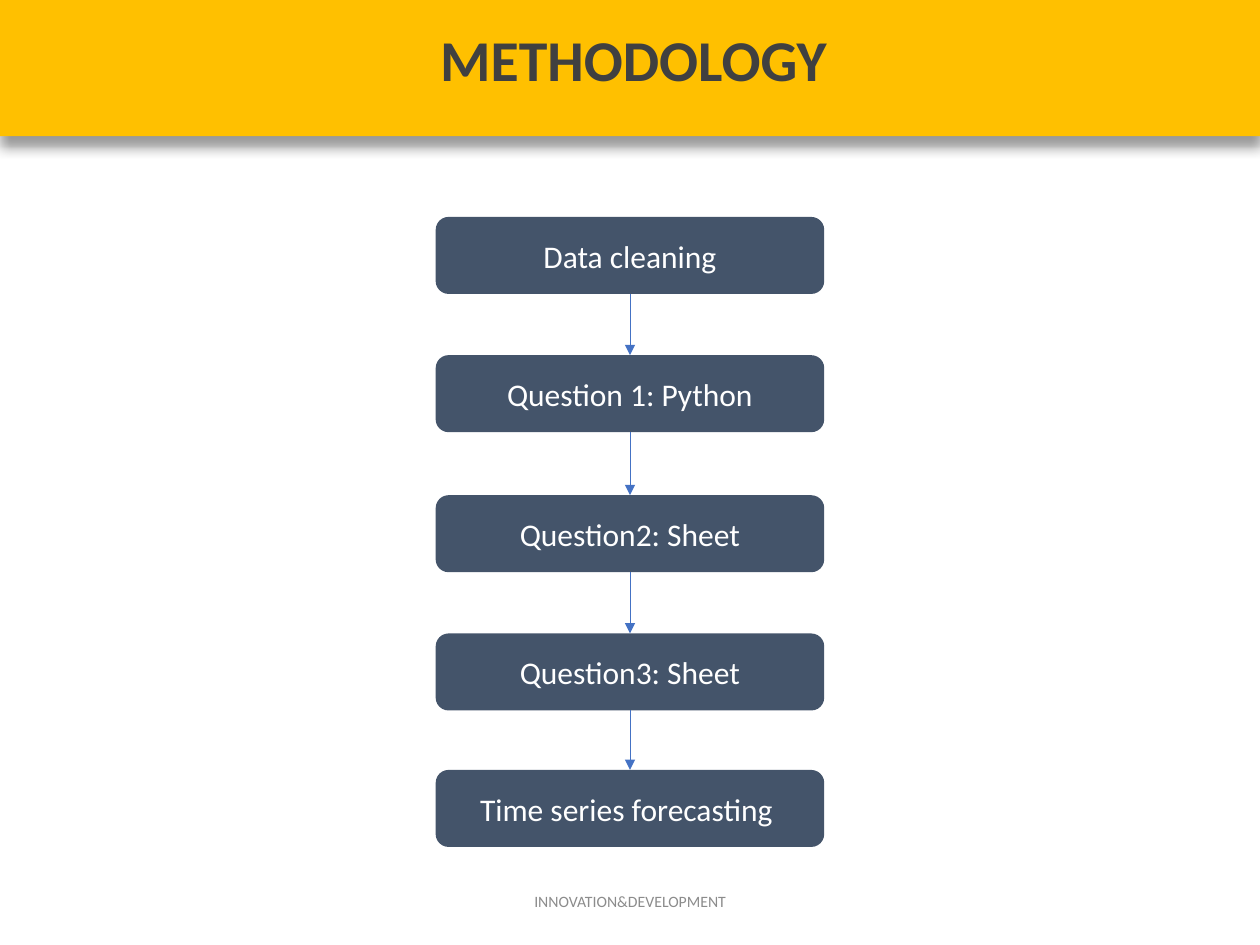
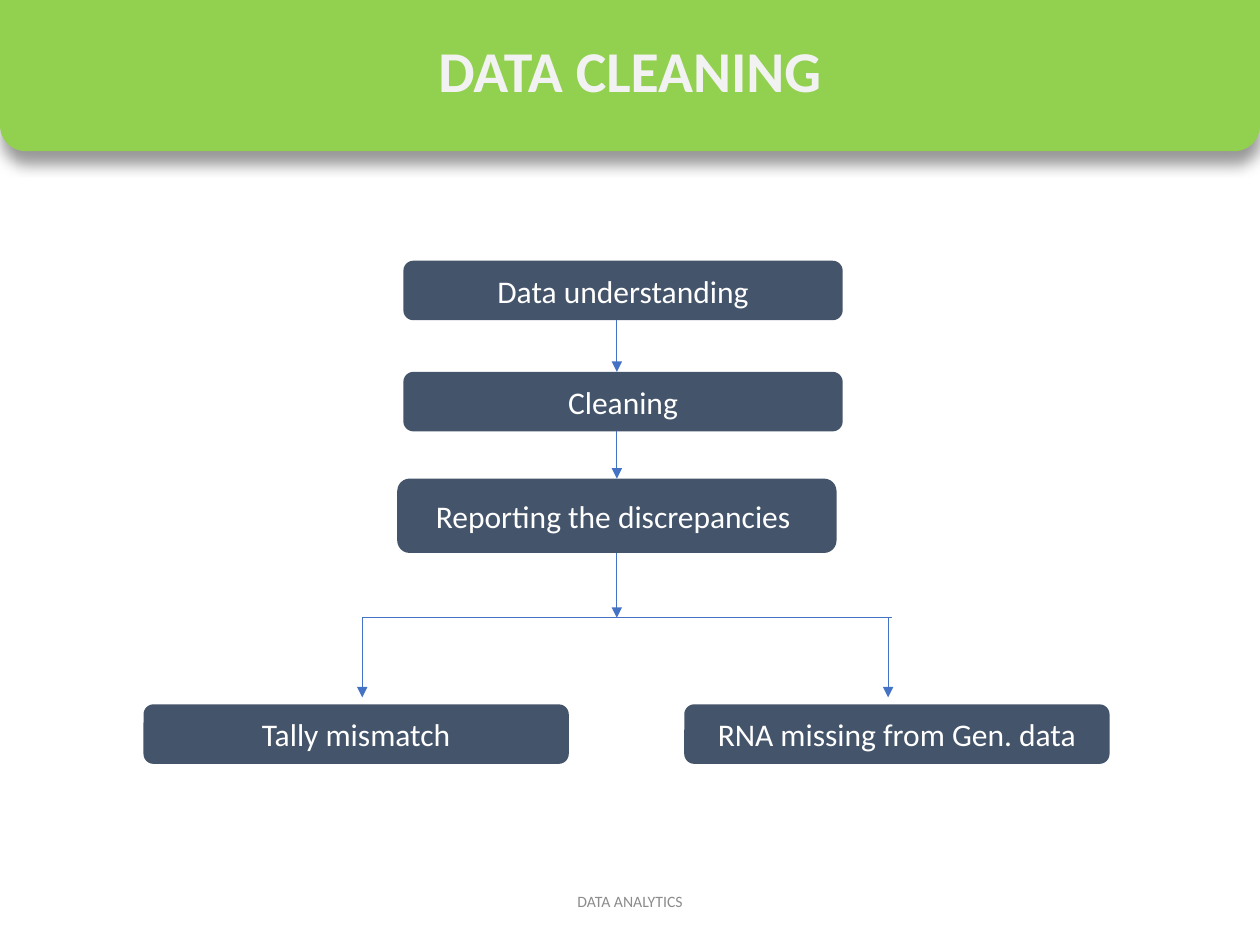
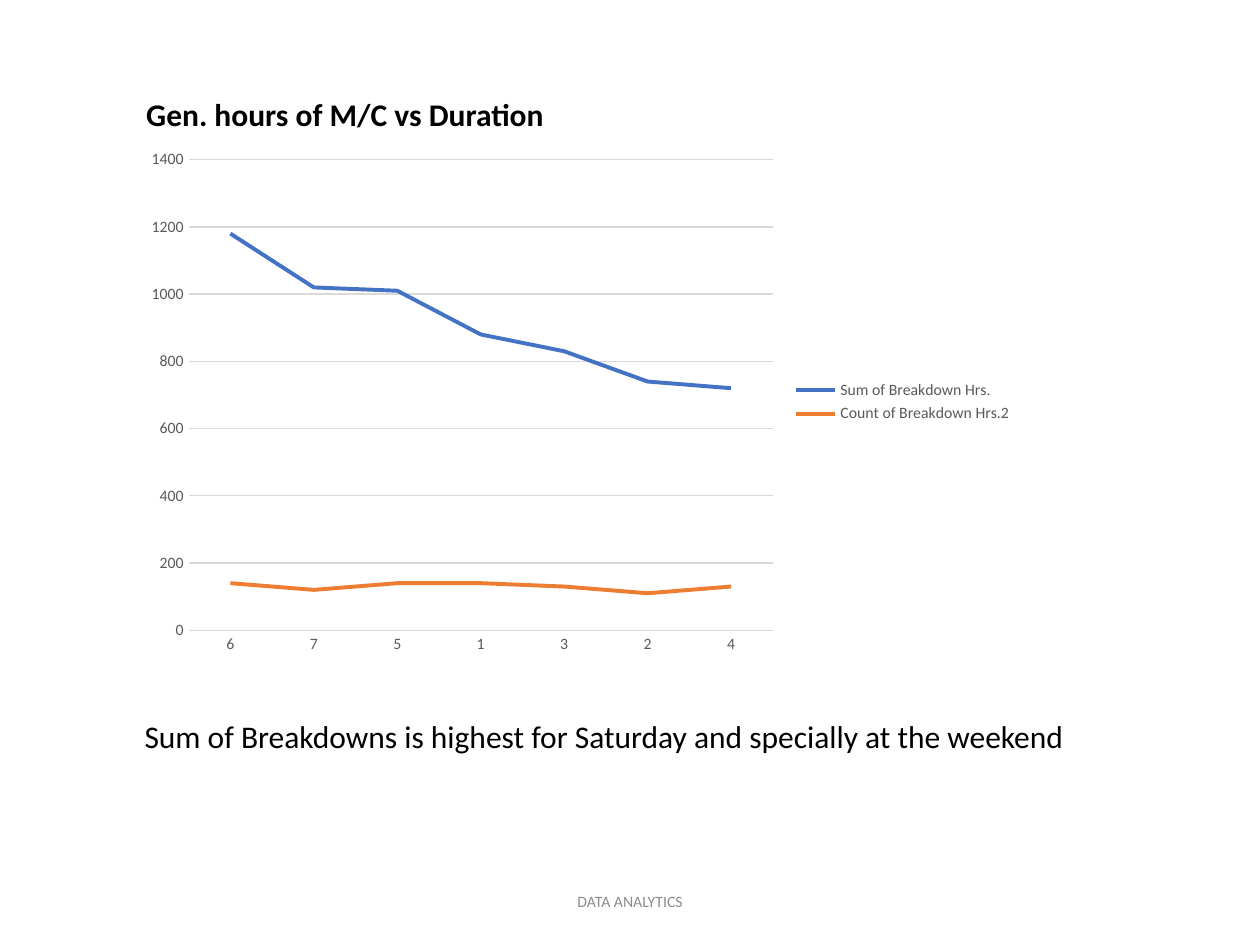
"""Build three slides on breakdown analysis: methodology, data cleaning and a trend chart."""
from lxml import etree
from pptx import Presentation
from pptx import util as u
from pptx.chart import data as chart_data
from pptx.dml import color
from pptx.enum import chart as ch, shapes, text
from pptx.oxml import ns

FONT = "Calibri"
COLORS = {
    "amber": "FFC000", "green": "92D050", "slate": "44546A", "white": "FFFFFF",
    "dark": "404040", "pale": "F2F2F2", "footer": "8C8C8C", "black": "000000",
    "blue": "4472C4", "orange": "ED7D31", "label": "595959", "grid": "D9D9D9",
}
RGB = {name: color.RGBColor.from_string(value) for name, value in COLORS.items()}
CENTER, LEFT = text.PP_ALIGN.CENTER, text.PP_ALIGN.LEFT
MIDDLE, TOP = text.MSO_ANCHOR.MIDDLE, text.MSO_ANCHOR.TOP


def write(slide, words, box, size=18, ink="black", bold=False, align=CENTER,
          anchor=MIDDLE, spacing=None, fill=None):
    """Place formatted text, on a rounded box when a fill is given."""
    area = [u.Pt(length) for length in box]
    if fill:
        holder = slide.shapes.add_shape(shapes.MSO_SHAPE.ROUNDED_RECTANGLE, *area)
        holder.shadow.inherit = False
        holder.fill.solid()
        holder.fill.fore_color.rgb = RGB[fill]
        holder.line.fill.background()
    else:
        holder = slide.shapes.add_textbox(*area)
    frame = holder.text_frame
    frame.word_wrap = True
    frame.vertical_anchor = anchor
    paragraph = frame.paragraphs[0]
    paragraph.alignment = align
    paragraph.line_spacing = spacing
    run = paragraph.add_run()
    run.text = words
    run.font.name, run.font.size, run.font.bold = FONT, u.Pt(size), bold
    run.font.color.rgb = RGB[ink]
    return holder


def link(slide, x1, y1, x2, y2, arrow=True):
    """Draw a thin blue line, with an arrowhead at its end by default."""
    line = slide.shapes.add_connector(
        shapes.MSO_CONNECTOR.STRAIGHT, *[u.Pt(v) for v in (x1, y1, x2, y2)])
    line.line.color.rgb = RGB["blue"]
    line.line.width = u.Pt(0.5)
    if arrow:
        etree.SubElement(line.line._get_or_add_ln(), ns.qn("a:tailEnd"), type="triangle")
    etree.SubElement(line._element.spPr, ns.qn("a:effectLst"))
    return line


deck = Presentation()
deck.slide_width, deck.slide_height = u.Pt(720), u.Pt(540)
methodology, cleaning, trend = [
    deck.slides.add_slide(deck.slide_layouts[6]) for _ in range(3)]

RECT, ROUND = shapes.MSO_SHAPE.RECTANGLE, shapes.MSO_SHAPE.ROUND_2_SAME_RECTANGLE
bands = [
    (methodology, RECT, 79.2, "amber", 0, 7, 6, "METHODOLOGY", (65, 8.5, 594, 55), "dark"),
    (cleaning, ROUND, 87.8, "green", 180, 8, 7, "DATA CLEANING", (49.5, 13, 621, 58), "pale"),
]
for slide, outline, height, fill, turn, blur, distance, title, box, ink in bands:
    band = slide.shapes.add_shape(outline, 0, u.Pt(-1.4), u.Pt(720), u.Pt(height))
    band.rotation = turn
    band.fill.solid()
    band.fill.fore_color.rgb = RGB[fill]
    band.line.fill.background()
    band.shadow.inherit = False
    effects = band._element.spPr.find(ns.qn("a:effectLst"))
    shade = etree.SubElement(
        effects, ns.qn("a:outerShdw"), blurRad=str(u.Pt(blur)), dist=str(u.Pt(distance)),
        dir="5400000", algn="t", rotWithShape="0")
    tint = etree.SubElement(shade, ns.qn("a:srgbClr"), val=COLORS["black"])
    etree.SubElement(tint, ns.qn("a:alpha"), val="40000")
    write(slide, title, box, size=33, ink=ink, bold=True, spacing=0.9)

footers = [(methodology, "INNOVATION&DEVELOPMENT"),
           (cleaning, "DATA ANALYTICS"), (trend, "DATA ANALYTICS")]
for slide, footer in footers:
    write(slide, footer, (238.5, 500.5, 243, 29), size=9, ink="footer")

steps = [("Data cleaning", 124), ("Question 1: Python", 203), ("Question2: Sheet", 283),
         ("Question3: Sheet", 362), ("Time series forecasting ", 440)]
previous = None
for step, top in steps:
    current = write(methodology, step, (249, top, 222, 44), ink="white", fill="slate")
    if previous:
        arrow = link(methodology, 360, top - 35, 360, top)
        arrow.begin_connect(previous, 2)
        arrow.end_connect(current, 0)
    previous = current

stages = [
    ("Data understanding", (230.5, 149, 251, 34)),
    ("Cleaning", (230.5, 212.5, 251, 34)),
    ("Reporting the discrepancies ", (227, 273.5, 251, 42.5)),
    ("Tally mismatch", (82, 402.5, 243, 34)),
    ("RNA missing from Gen. data", (391, 402.5, 243, 34)),
]
understanding, tidying, reporting, mismatch, missing = [
    write(cleaning, stage, box, ink="white", fill="slate") for stage, box in stages]
TRUNK, FORK = 352.5, 353
link(cleaning, TRUNK, 183, TRUNK, 212.5)
link(cleaning, TRUNK, 246.5, TRUNK, 273.5).end_connect(reporting, 0)
link(cleaning, TRUNK, 316, TRUNK, FORK).begin_connect(reporting, 2)
link(cleaning, 207, FORK, 510, FORK, arrow=False)
for branch in (207, 507.5):
    link(cleaning, branch, FORK, branch, 398.5)

breakdowns = chart_data.CategoryChartData()
breakdowns.categories = ["6", "7", "5", "1", "3", "2", "4"]
breakdowns.add_series("Sum of Breakdown Hrs.", (1180, 1020, 1010, 880, 830, 740, 720))
breakdowns.add_series("Count of Breakdown Hrs.2", (140, 120, 140, 140, 130, 110, 130))
chart = trend.shapes.add_chart(
    ch.XL_CHART_TYPE.LINE, u.Pt(76.5), u.Pt(80), u.Pt(509), u.Pt(299.5), breakdowns).chart
chart.has_title = False
chart.font.name, chart.font.size = FONT, u.Pt(10)
chart.has_legend = True
chart.legend.position = ch.XL_LEGEND_POSITION.RIGHT
chart.legend.include_in_layout = False
chart.plots[0].vary_by_categories = False
for series, ink in zip(chart.plots[0].series, ("blue", "orange")):
    series.smooth = False
    series.format.line.color.rgb = RGB[ink]
    series.format.line.width = u.Pt(2.25)
days, hours = chart.category_axis, chart.value_axis
for axis in (days, hours):
    axis.major_tick_mark = axis.minor_tick_mark = ch.XL_TICK_MARK.NONE
for font in (days.tick_labels.font, hours.tick_labels.font, chart.legend.font):
    font.name, font.size = FONT, u.Pt(9)
    font.color.rgb = RGB["label"]
hours.has_major_gridlines = True
hours.minimum_scale, hours.maximum_scale, hours.major_unit = 0, 1400, 200
hours.format.line.fill.background()
for rule in (days.format.line, hours.major_gridlines.format.line):
    rule.color.rgb = RGB["grid"]
    rule.width = u.Pt(0.75)

write(trend, "Gen. hours of M/C vs Duration", (76.5, 51, 374.5, 29),
      bold=True, align=LEFT, anchor=TOP)
write(trend, "Sum of Breakdowns is highest for Saturday and specially at the weekend",
      (75.5, 406, 646.5, 29), align=LEFT, anchor=TOP)

deck.save("out.pptx")
